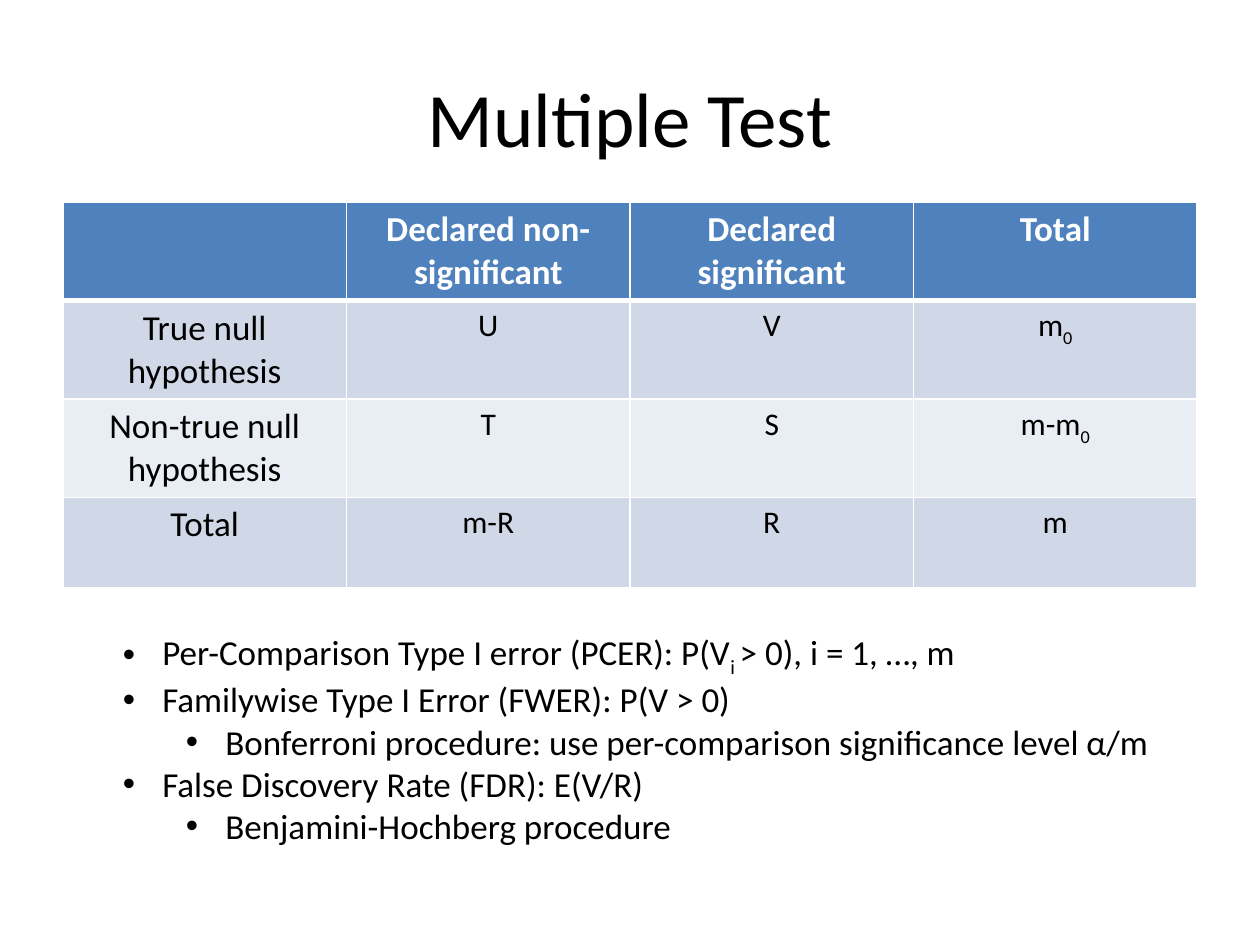
from dataclasses import dataclass

from lxml import etree
from pptx import Presentation
from pptx.dml.color import RGBColor
from pptx.enum.text import MSO_ANCHOR, MSO_AUTO_SIZE, PP_ALIGN
from pptx.oxml.ns import qn
from pptx.util import Pt

CENTER, LEFT = PP_ALIGN.CENTER, PP_ALIGN.LEFT
TOP, MIDDLE = MSO_ANCHOR.TOP, MSO_ANCHOR.MIDDLE
NO_FIT = MSO_AUTO_SIZE.NONE


@dataclass(frozen=True)
class Theme:
    font: str = "Calibri"
    ink: str = "000000"
    white: str = "FFFFFF"
    head: str = "4F81BD"
    bands: tuple = ("D0D8E8", "E9EDF4")
    title: int = 44
    text: int = 20
    value: int = 18


HEAD = ["", "Declared non-significant", "Declared significant", "Total"]
ROWS = [
    ["True null hypothesis", "U", "V", "m_0"],
    ["Non-true null hypothesis", "T", "S", "m-m_0"],
    ["Total", "m-R", "R", "m"],
]
RATES = [
    (0, "Per-Comparison Type I error (PCER): P(V_i _> 0), i = 1, …, m"),
    (0, "Familywise Type I Error (FWER): P(V > 0)"),
    (1, "Bonferroni procedure: use per-comparison significance level α/m"),
    (0, "False Discovery Rate (FDR): E(V/R)"),
    (1, "Benjamini-Hochberg procedure"),
]


class Deck:
    def __init__(self, theme):
        self.theme = theme
        self.prs = Presentation()
        self.prs.slide_width, self.prs.slide_height = Pt(720), Pt(540)
        self.slide = self.prs.slides.add_slide(self.prs.slide_layouts[1])

    def label(self, para, text, size, color=None, bold=False, align=CENTER):
        """Fill a paragraph; underscores switch subscript on and off."""
        para.alignment = align
        font = para.font
        font.name, font.size, font.bold = self.theme.font, Pt(size), bold
        font.color.rgb = RGBColor.from_string(color or self.theme.ink)
        for i, part in enumerate(text.split("_")):
            if part:
                run = para.add_run()
                run.text = part
                if i % 2:
                    run._r.get_or_add_rPr().set("baseline", "-25000")

    def place(self, shape, box, anchor):
        shape.left, shape.top, shape.width, shape.height = map(Pt, box)
        frame = shape.text_frame
        frame.word_wrap, frame.auto_size = True, NO_FIT
        frame.vertical_anchor = anchor
        return frame

    def title(self, text, box):
        frame = self.place(self.slide.shapes.title, box, MIDDLE)
        self.label(frame.paragraphs[0], text, self.theme.title)

    def bullets(self, items, box):
        frame = self.place(self.slide.placeholders[1], box, TOP)
        for i, (level, text) in enumerate(items):
            para = frame.add_paragraph() if i else frame.paragraphs[0]
            para.level = level
            para.space_before = Pt(0)
            props = para._p.get_or_add_pPr()
            props.set("marL", str(Pt(22.5 + 36 * level)))
            props.set("indent", str(Pt(-22.5)))
            etree.SubElement(props, qn("a:buFont"), typeface="Arial")
            etree.SubElement(props, qn("a:buChar"), char="•")
            self.label(para, text, self.theme.text, align=LEFT)

    def border(self, cell, widths):
        """Draw white edges; widths are left, right, top and bottom."""
        props = cell._tc.get_or_add_tcPr()
        for side, width in zip("LRTB", widths):
            line = etree.SubElement(props, qn("a:ln" + side), w=str(Pt(width)))
            fill = etree.SubElement(line, qn("a:solidFill"))
            etree.SubElement(fill, qn("a:srgbClr"), val=self.theme.white)

    def table(self, head, rows, box, height):
        look = self.theme
        grid = [head, *rows]
        table = self.slide.shapes.add_table(
            len(grid), len(head), *map(Pt, box)).table
        for r, row in enumerate(grid):
            table.rows[r].height = Pt(height)
            top = r == 0
            fill = look.head if top else look.bands[(r - 1) % 2]
            for c, text in enumerate(row):
                cell = table.cell(r, c)
                self.border(cell, (1, 1, 3 if r == 1 else 1, 3 if top else 1))
                cell.fill.solid()
                cell.fill.fore_color.rgb = RGBColor.from_string(fill)
                size = look.text if top or c == 0 else look.value
                color = look.white if top else look.ink
                self.label(cell.text_frame.paragraphs[0], text, size, color, top)


def main():
    deck = Deck(Theme())
    deck.title("Multiple Test", (36, 21.6, 648, 90))
    deck.table(HEAD, ROWS, (36, 115.5, 648, 208), 52)
    deck.bullets(RATES, (63, 356.5, 621, 174))
    deck.prs.save("out.pptx")


if __name__ == "__main__":
    main()
